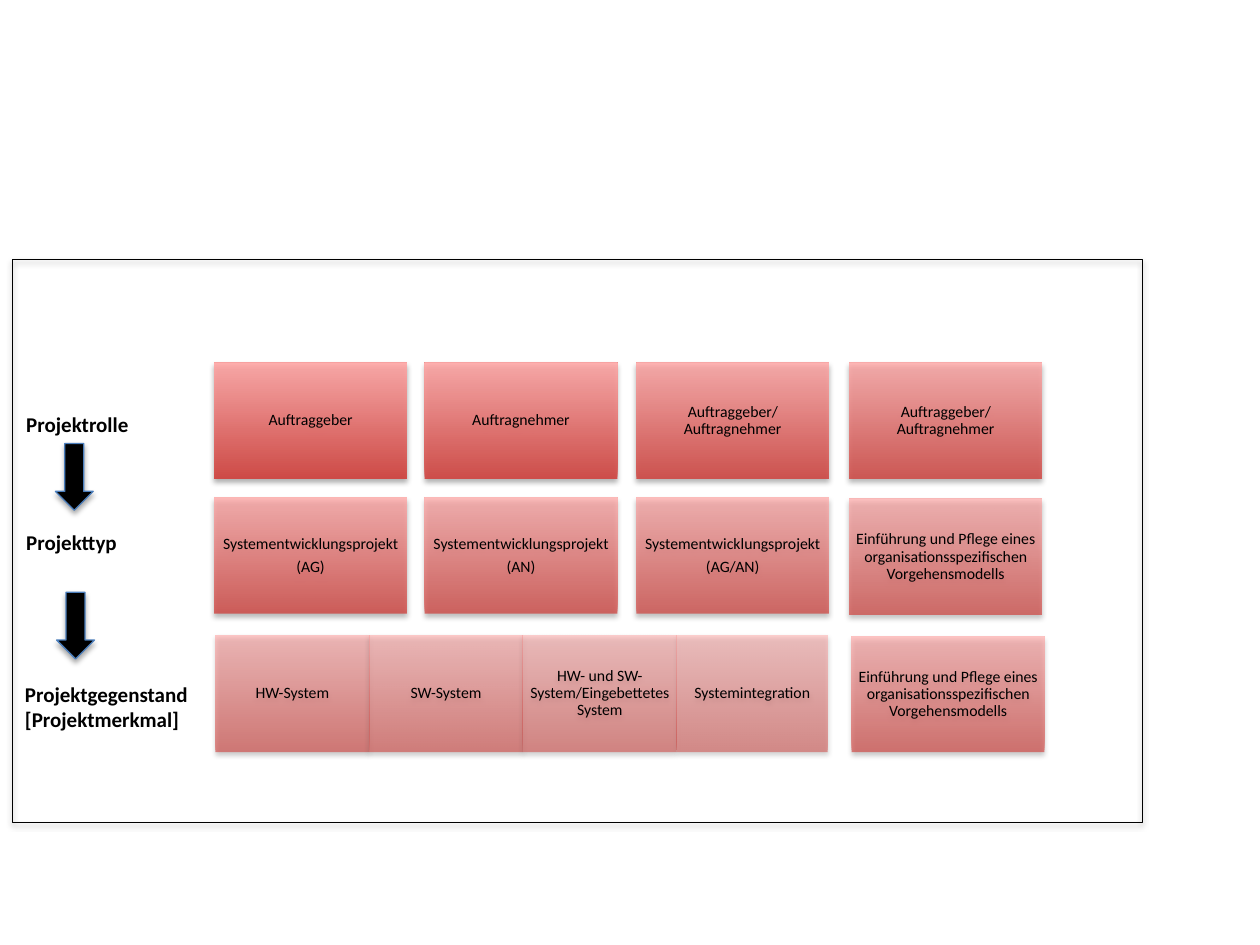
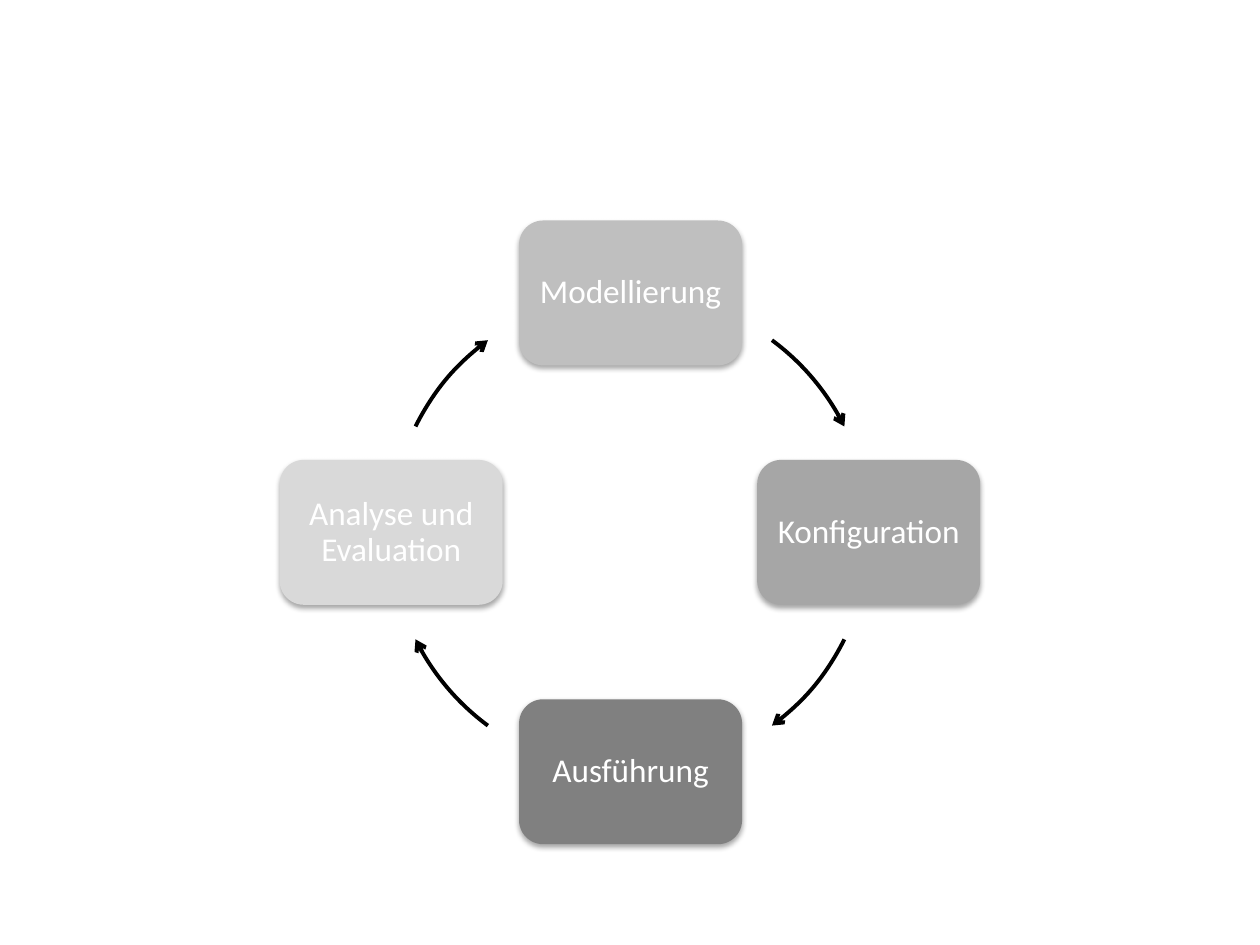
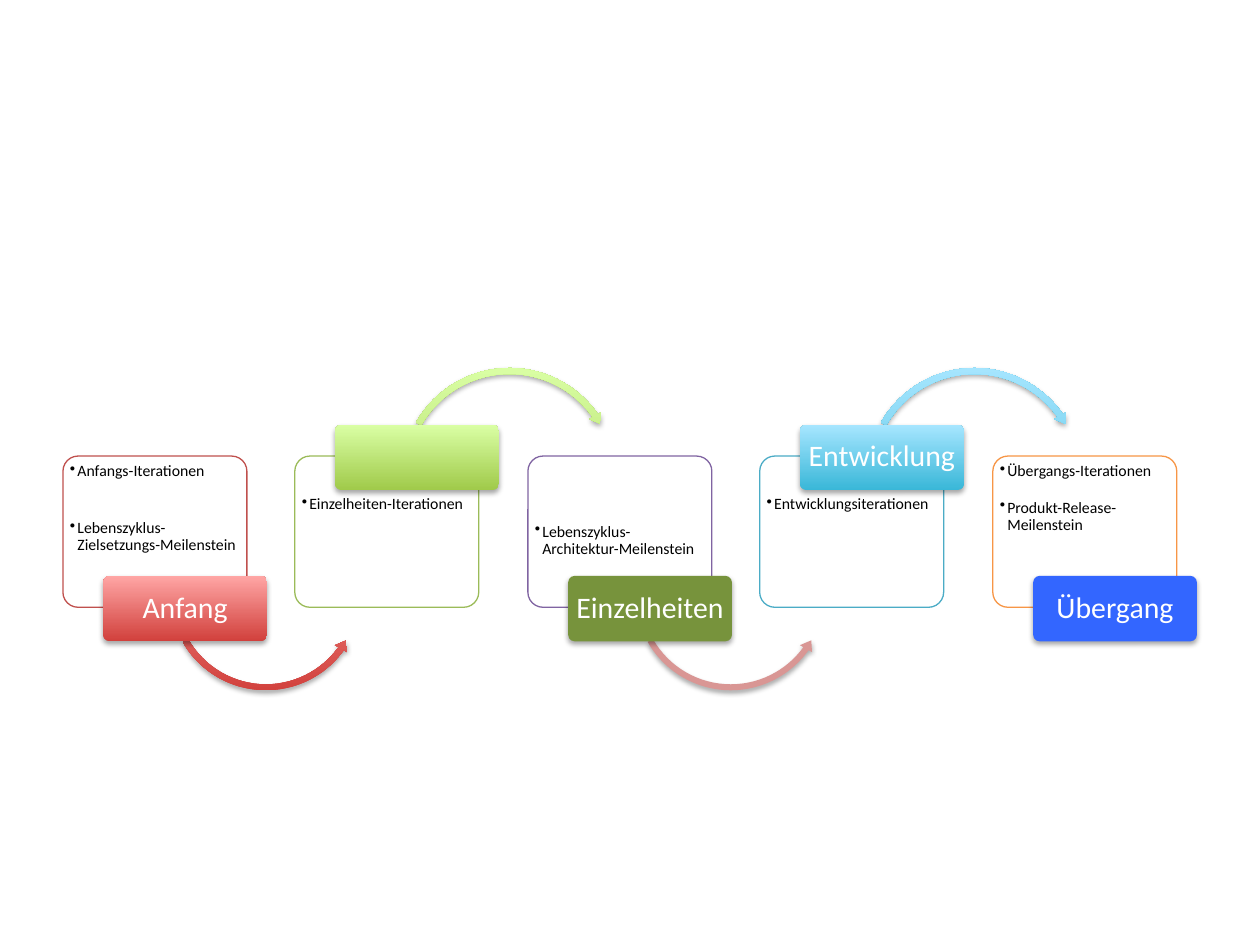
"""Build three slides: a project type matrix, a process cycle and a phase flow."""
import pptx
import pptx.dml.color
import pptx.enum.shapes
import pptx.enum.text
import pptx.util
from lxml import etree
from pptx.oxml.ns import qn

SHAPE = pptx.enum.shapes.MSO_SHAPE
ALIGN = pptx.enum.text.PP_ALIGN
ANCHOR = pptx.enum.text.MSO_ANCHOR
EMU_PER_PX = 9144
BLACK, WHITE = "000000", "FFFFFF"
RED = ("D1403C", "FFA6A5")
GREEN = ("A0CA4A", "DAFFA5")
CYAN = ("39B7D8", "A7E6FF")


def px(n):
    return pptx.util.Emu(round(n * EMU_PER_PX))


def rgb(color):
    return pptx.dml.color.RGBColor.from_string(color)


def sub(parent, tag, **attrs):
    return etree.SubElement(parent, qn(tag), {k: str(v) for k, v in attrs.items()})


def write(s, text, size=9, color=BLACK, bold=False, align=ALIGN.CENTER,
          anchor=ANCHOR.MIDDLE, insets=(4, 4, 4, 4), spacing=0.9, gap=0, bullet=False):
    tf = s.text_frame
    tf.word_wrap = True
    tf.vertical_anchor = anchor
    tf.margin_left, tf.margin_top, tf.margin_right, tf.margin_bottom = map(px, insets)
    for i, line in enumerate(text.split("\n")):
        p = tf.paragraphs[0] if i == 0 else tf.add_paragraph()
        p.alignment = align
        p.line_spacing = spacing
        if i and gap:
            p.space_before = pptx.util.Pt(gap)
        if bullet:
            pPr = p._p.get_or_add_pPr()
            pPr.set("marL", str(px(6)))
            pPr.set("indent", str(px(-6)))
            sub(pPr, "a:buChar", char="•")
        r = p.add_run()
        r.text = line
        r.font.name = "Calibri"
        r.font.size = pptx.util.Pt(size)
        r.font.bold = bold
        r.font.color.rgb = rgb(color)


class Deck:
    def __init__(self):
        self.prs = pptx.Presentation()
        self.prs.slide_width, self.prs.slide_height = px(1000), px(750)
        self.slide = None

    def new_slide(self):
        self.slide = self.prs.slides.add_slide(self.prs.slide_layouts[6])

    def paint(self, s, fill, alpha):
        if fill is None:
            s.fill.background()
            return
        if isinstance(fill, str):
            s.fill.solid()
            s.fill.fore_color.rgb = rgb(fill)
        else:
            s.fill.gradient()
            s.fill.gradient_angle = 90
            for stop, color in zip(s.fill.gradient_stops, fill):
                stop.color.rgb = rgb(color)
        if alpha < 100:
            for clr in s.element.spPr.iter(qn("a:srgbClr")):
                sub(clr, "a:alpha", val=round(alpha * 1000))

    def shape(self, kind, x, y, w, h, fill=None, alpha=100, line=None,
              width=0.75, shadow=True, adj=()):
        s = self.slide.shapes.add_shape(kind, px(x), px(y), px(w), px(h))
        for i, value in enumerate(adj):
            s.adjustments[i] = value
        self.paint(s, fill, alpha)
        if line:
            s.line.color.rgb = rgb(line)
            s.line.width = pptx.util.Pt(width)
        else:
            s.line.fill.background()
        s.shadow.inherit = False
        if shadow:
            effects = s.element.spPr.find(qn("a:effectLst"))
            shade = sub(effects, "a:outerShdw", blurRad=pptx.util.Pt(3.1),
                        dist=pptx.util.Pt(1.8), dir=5400000, rotWithShape=0)
            sub(sub(shade, "a:srgbClr", val=BLACK), "a:alpha", val=35000)
        return s

    def label(self, x, y, w, h, text):
        s = self.slide.shapes.add_textbox(px(x), px(y), px(w), px(h))
        write(s, text, size=12, bold=True, align=ALIGN.LEFT, anchor=ANCHOR.TOP,
              insets=(10, 5, 10, 5), spacing=1.0)

    def arc(self, x, y, size, start, sweep):
        s = self.shape(SHAPE.ARC, x, y, size, size, line=BLACK, width=2.25, shadow=False,
                       adj=(start * 0.6, (start + sweep) % 360 * 0.6))
        sub(s.element.spPr.find(qn("a:ln")), "a:tailEnd", type="arrow")


def project_types(deck):
    deck.new_slide()
    deck.shape(SHAPE.RECTANGLE, 10, 206, 897, 447, line=BLACK)
    columns = (170, 337, 505, 674)
    both = "Auftraggeber/Auftragnehmer"
    system = "Systementwicklungsprojekt\n"
    intro = "Einführung und Pflege eines organisationsspezifischen Vorgehensmodells"
    roles = ("Auftraggeber", "Auftragnehmer", both, both)
    types = (system + "(AG)", system + "(AN)", system + "(AG/AN)", intro)
    subjects = ("HW-System", "SW-System", "HW- und SW-System/Eingebettetes System",
                "Systemintegration")
    cells = [(x, 288, 153, 92, text) for x, text in zip(columns, roles)]
    cells += [(x, 396 if text == intro else 395, 153, 92, text)
              for x, text in zip(columns, types)]
    cells.append((676, 505, 153, 92, intro))
    for i, text in enumerate(subjects):
        x = 171 + 122 * i
        cells.append((x, 504, min(122, 657 - x), 93, text))
    for i, (x, y, w, h, text) in enumerate(cells):
        alpha = 90 - 40 * i / (len(cells) - 1)
        s = deck.shape(SHAPE.RECTANGLE, x, y, w, h, fill=RED, alpha=alpha)
        write(s, text, gap=3.15)
    deck.label(11, 322, 158, 30, "Projektrolle")
    deck.label(11, 415, 158, 30, "Projekttyp")
    deck.label(10, 536, 177, 50, "Projektgegenstand\n[Projektmerkmal]")
    for x, y in ((44, 352), (45, 470)):
        deck.shape(SHAPE.DOWN_ARROW, x, y, 30, 53, fill=BLACK, line="4B7EBC")


def process_cycle(deck):
    deck.new_slide()
    steps = (
        ("Modellierung", 412, 175, "BFBFBF", 306.4),
        ("Konfiguration", 601, 365, "A6A6A6", 26.4),
        ("Ausführung", 412, 555, "808080", 126.4),
        ("Analyse und Evaluation", 222, 365, "D9D9D9", 206.4),
    )
    for text, x, y, fill, start in steps:
        s = deck.shape(SHAPE.ROUNDED_RECTANGLE, x, y, 177, 115, fill=fill)
        write(s, text, size=19, color=WHITE, insets=(8, 8, 8, 8))
        deck.arc(310, 233, 380, start, 27.2)


def phase_flow(deck):
    deck.new_slide()
    phases = (
        ("Anfang", RED, "C0504D", RED, 2, 22.7,
         "Anfangs-Iterationen\nLebenszyklus-Zielsetzungs-Meilenstein"),
        ("", GREEN, "9BBB59", GREEN, 28, 0, "Einzelheiten-Iterationen"),
        ("Einzelheiten", "77933C", "8064A2", "D99694", 50, 0,
         "Lebenszyklus-Architektur-Meilenstein"),
        ("Entwicklung", CYAN, "4BACC6", CYAN, 28, 0, "Entwicklungsiterationen"),
        ("Übergang", "3366FF", "F79646", None, 2, 11.2,
         "Übergangs-Iterationen\nProdukt-Release-Meilenstein"),
    )
    for i, (name, fill, outline, arrow, top, gap, items) in enumerate(phases):
        x = round(50 + 184.4 * i)
        raised = i % 2 == 1
        s = deck.shape(SHAPE.ROUNDED_RECTANGLE, x, 362, 146, 120, fill=WHITE, alpha=90,
                       line=outline, shadow=False, adj=(0.1,))
        write(s, items, align=ALIGN.LEFT, anchor=ANCHOR.TOP, insets=(2, top, 2, 2),
              gap=gap, bullet=True)
        if arrow and raised:
            deck.shape(SHAPE.CIRCULAR_ARROW, x + 82, 289, 177, 177, fill=arrow,
                       adj=(0.027, 3.23, 195.015, 125.755, 0.031))
        elif arrow:
            deck.shape(SHAPE.LEFT_CIRCULAR_ARROW, x + 82, 393, 158, 158, fill=arrow,
                       adj=(0.03, 3.637, 21.392, 90.245, 0.035))
        s = deck.shape(SHAPE.ROUNDED_RECTANGLE, x + 32, 337 if raised else 457, 130, 52,
                       fill=fill, adj=(0.1,))
        if name:
            write(s, name, size=17, color=WHITE, insets=(4, 2, 4, 2))


def main():
    deck = Deck()
    project_types(deck)
    process_cycle(deck)
    phase_flow(deck)
    deck.prs.save("out.pptx")


if __name__ == "__main__":
    main()
